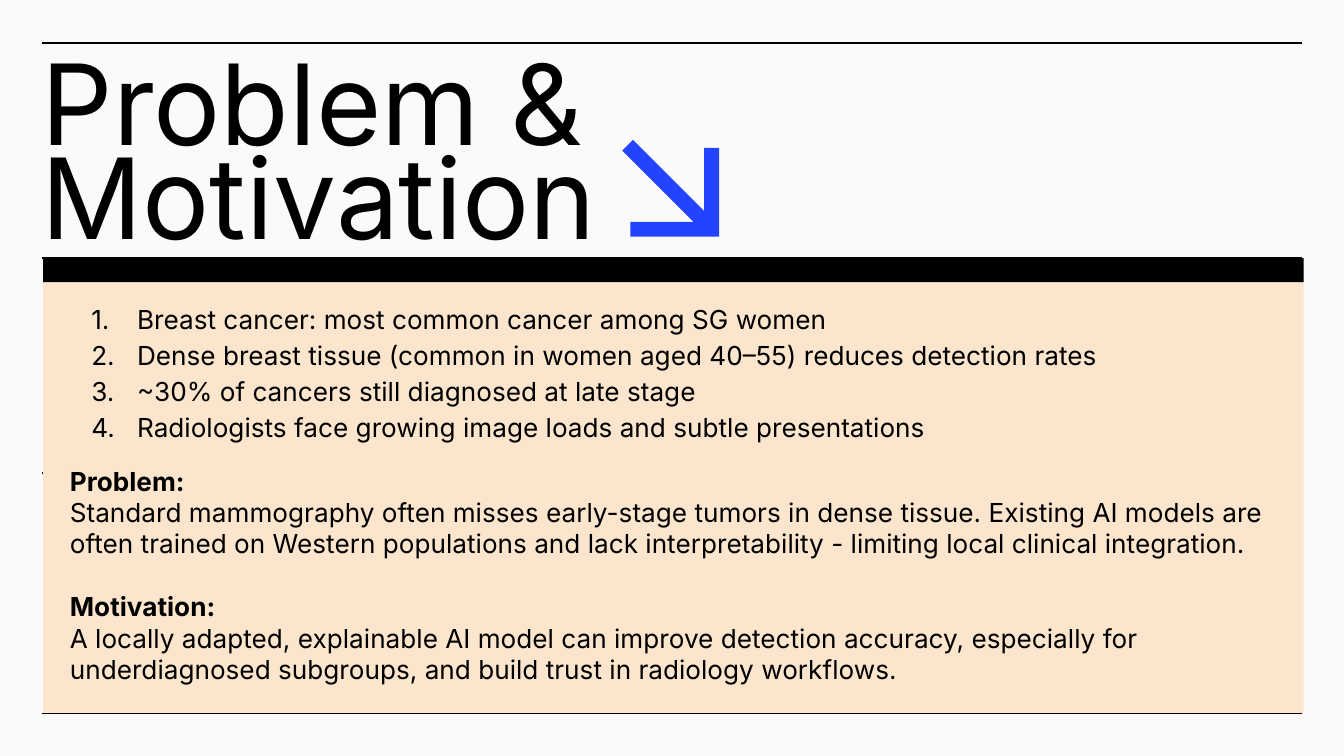
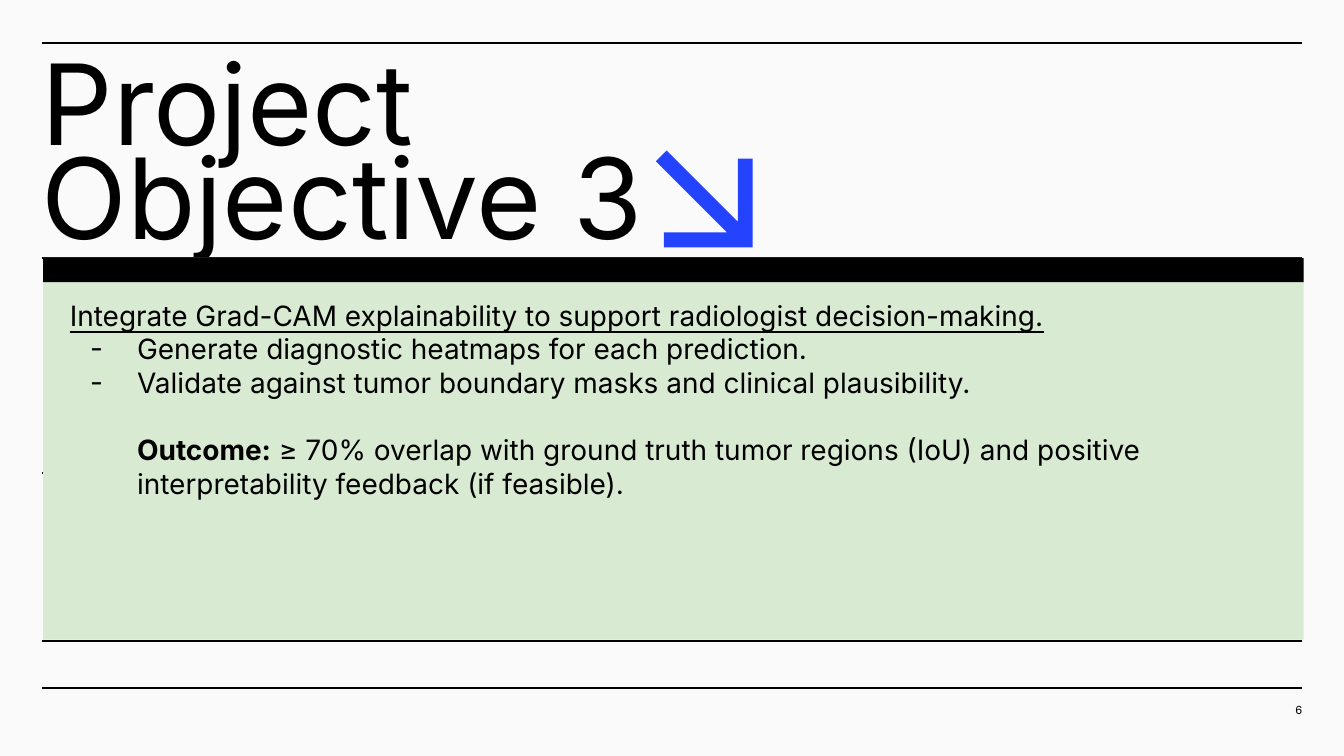
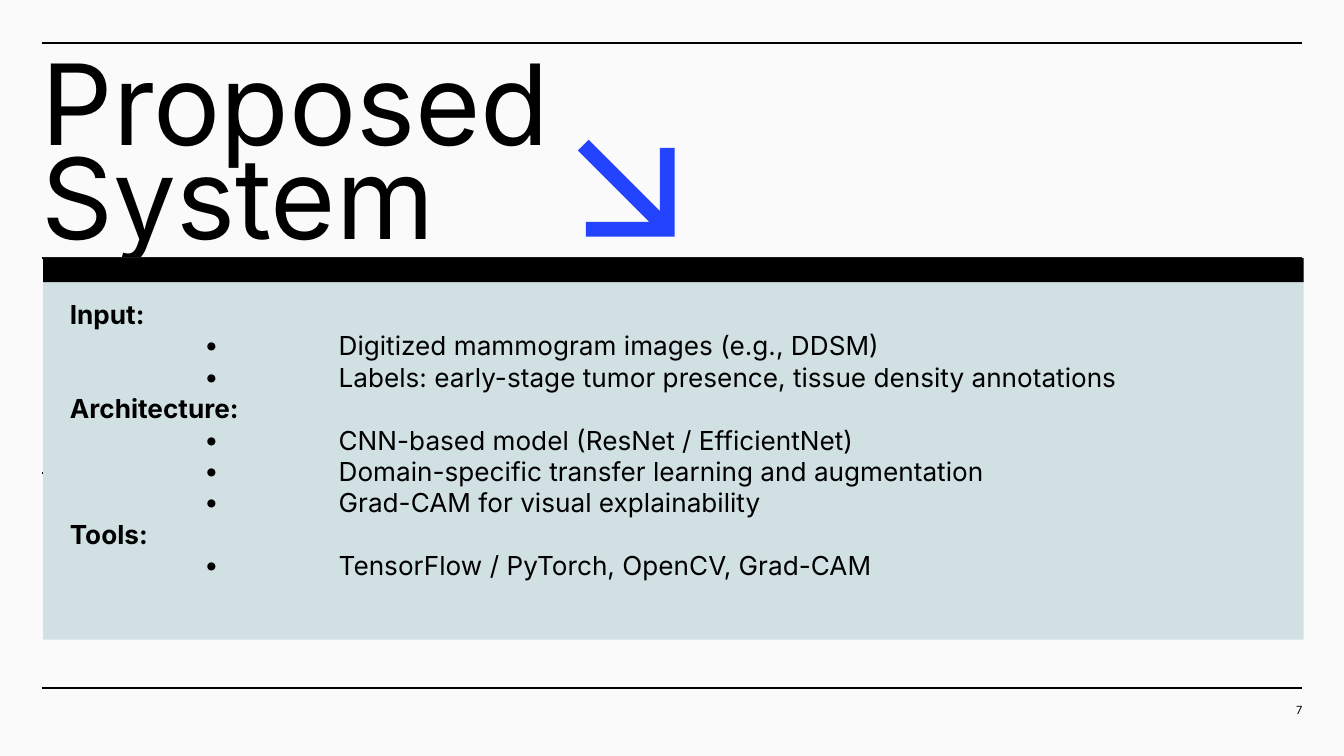
from lxml.etree import SubElement
from pptx import Presentation
from pptx.dml.color import RGBColor
from pptx.enum.shapes import MSO_CONNECTOR as Connector, MSO_SHAPE as Shape
from pptx.enum.text import MSO_ANCHOR as Anchor, PP_ALIGN as Align
from pptx.oxml.ns import qn
from pptx.util import Inches, Pt

FONT = "Inter"
INK = "000000"
PAPER = "FAFAFA"
BLUE = "2443FF"
PEACH = "FCE5CD"
GREEN = "D9EAD3"
TEAL = "D0E0E3"

RULE_LEFT, RULE_RIGHT = 0.31, 9.69
RULE_TOP, RULE_GAP = 0.32, 1.6
PANEL_LEFT, PANEL_TOP, PANEL_WIDTH = 0.32, 1.92, 9.38
BAND_HEIGHT = 0.18
ARROW_OUTLINE = [(0.72, 0.06), (0.61, 0.06), (0.61, 0.53), (0.08, 0), (0, 0.08),
                 (0.53, 0.61), (0.06, 0.61), (0.06, 0.72), (0.72, 0.72)]


def color(code):
    return RGBColor.from_string(code)


def paint(shape, fill):
    shape.shadow.inherit = False
    shape.fill.solid()
    shape.fill.fore_color.rgb = color(fill)
    shape.line.fill.background()


def add_rectangle(page, top, height, fill):
    box = page.shapes.add_shape(Shape.RECTANGLE, Inches(PANEL_LEFT), Inches(top),
                                Inches(PANEL_WIDTH), Inches(height))
    paint(box, fill)


def add_rule(page, top):
    rule = page.shapes.add_connector(Connector.STRAIGHT, Inches(RULE_LEFT), Inches(top),
                                     Inches(RULE_RIGHT), Inches(top))
    rule.line.color.rgb = color(INK)
    rule.line.width = Pt(0.75)
    SubElement(rule._element.spPr, qn("a:effectLst"))


def add_arrow(page, left, top):
    points = [(Inches(left + x), Inches(top + y)) for x, y in ARROW_OUTLINE]
    builder = page.shapes.build_freeform(*points[0])
    builder.add_line_segments(points[1:], close=True)
    paint(builder.convert_to_shape(), BLUE)


def add_box(page, left, top, width, height, inset=(0, 0)):
    box = page.shapes.add_textbox(Inches(left), Inches(top), Inches(width), Inches(height))
    frame = box.text_frame
    frame.word_wrap = True
    frame.vertical_anchor = Anchor.TOP
    frame.margin_left = frame.margin_right = Inches(inset[0])
    frame.margin_top = frame.margin_bottom = Inches(inset[1])
    return frame


def set_bullet(para, bullet):
    properties = para._p.get_or_add_pPr()
    tint = SubElement(properties, qn("a:buClr"))
    SubElement(tint, qn("a:srgbClr"), val=INK)
    SubElement(properties, qn("a:buFont"), typeface=FONT)
    if bullet == "1.":
        SubElement(properties, qn("a:buAutoNum"), type="arabicPeriod")
    else:
        SubElement(properties, qn("a:buChar"), char=bullet)


def add_span(para, text, size=14, bold=False, underline=False):
    span = para.add_run()
    span.text = text
    span.font.name = FONT
    span.font.size = Pt(size)
    span.font.bold = bold
    span.font.underline = underline
    span.font.color.rgb = color(INK)


def add_text(frame, text, lead="", align=Align.LEFT, spacing=None, before=0,
             margin=0, indent=0, bullet=None, **style):
    para = frame.paragraphs[0]
    if para.runs:
        para = frame.add_paragraph()
    para.alignment = align
    para.space_before = Pt(before)
    if spacing:
        para.line_spacing = spacing
    properties = para._p.get_or_add_pPr()
    properties.set("marL", str(Inches(margin)))
    properties.set("indent", str(Inches(indent)))
    if bullet:
        set_bullet(para, bullet)
    if lead:
        add_span(para, lead, **{**style, "bold": True})
    add_span(para, text, **style)


def add_page(deck, title, arrow, panel, panel_height, number=None):
    page = deck.slides.add_slide(deck.slide_layouts[6])
    page.background.fill.solid()
    page.background.fill.fore_color.rgb = color(PAPER)
    add_text(add_box(page, 0.31, 0.52, 4.62, 1.26), title, size=60, spacing=0.7)
    add_arrow(page, *arrow)
    for index in range(4 if number else 3):
        add_rule(page, RULE_TOP + index * RULE_GAP)
    if number:
        add_text(add_box(page, 9.09, 5.23, 0.6, 0.08), number, size=6, align=Align.RIGHT)
    add_rectangle(page, PANEL_TOP, panel_height, panel)
    add_rectangle(page, PANEL_TOP, BAND_HEIGHT, INK)
    return page, add_box(page, 0.32, 2.12, 9.37, 2.48, inset=(0.2, 0.1))


def build_problem(deck):
    page, body = add_page(deck, "Problem & Motivation", (4.63, 1.04), PEACH, 3.39)
    add_rule(page, 5.31)
    facts = ["Breast cancer: most common cancer among SG women",
             "Dense breast tissue (common in women aged 40–55) reduces detection rates",
             "~30% of cancers still diagnosed at late stage",
             "Radiologists face growing image loads and subtle presentations"]
    for index, fact in enumerate(facts):
        add_text(body, fact, spacing=1.15, before=0 if index else 12,
                 margin=0.5, indent=-0.34, bullet="1.")
    add_text(body, "Problem:", bold=True, before=12)
    add_text(body, "Standard mammography often misses early-stage tumors in dense tissue. "
                   "Existing AI models are often trained on Western populations and lack "
                   "interpretability - limiting local clinical integration.")
    add_text(body, "Motivation:", bold=True, before=17)
    add_text(body, "A locally adapted, explainable AI model can improve detection accuracy, "
                   "especially for underdiagnosed subgroups, and build trust in radiology "
                   "workflows.")


def build_objective(deck):
    page, body = add_page(deck, "Project Objective 3", (4.88, 1.12), GREEN, 2.84, "6")
    add_rule(page, 4.77)
    add_text(body, "Integrate Grad-CAM explainability to support radiologist decision-making.",
             size=15, underline=True)
    for task in ("Generate diagnostic heatmaps for each prediction.",
                 "Validate against tumor boundary masks and clinical plausibility."):
        add_text(body, task, size=15, margin=0.5, indent=-0.35, bullet="-")
    add_text(body, " ≥ 70% overlap with ground truth tumor regions (IoU) and positive",
             lead="Outcome:", size=15, before=18, indent=0.5)
    add_text(body, "interpretability feedback (if feasible).", size=15, indent=0.5)


def build_system(deck):
    page, body = add_page(deck, "Proposed System", (4.3, 1.04), TEAL, 2.84, "7")
    sections = {
        "Input:": ["Digitized mammogram images (e.g., DDSM)",
                   "Labels: early-stage tumor presence, tissue density annotations"],
        "Architecture:": ["CNN-based model (ResNet / EfficientNet)",
                          "Domain-specific transfer learning and augmentation",
                          "Grad-CAM for visual explainability"],
        "Tools:": ["TensorFlow / PyTorch, OpenCV, Grad-CAM"],
    }
    for heading, items in sections.items():
        add_text(body, heading, bold=True)
        for item in items:
            add_text(body, item, margin=2, indent=-1, bullet="•")


def main():
    deck = Presentation()
    deck.slide_width = Inches(10)
    deck.slide_height = deck.slide_width * 9 // 16
    build_problem(deck)
    build_objective(deck)
    build_system(deck)
    deck.save("out.pptx")


if __name__ == "__main__":
    main()
